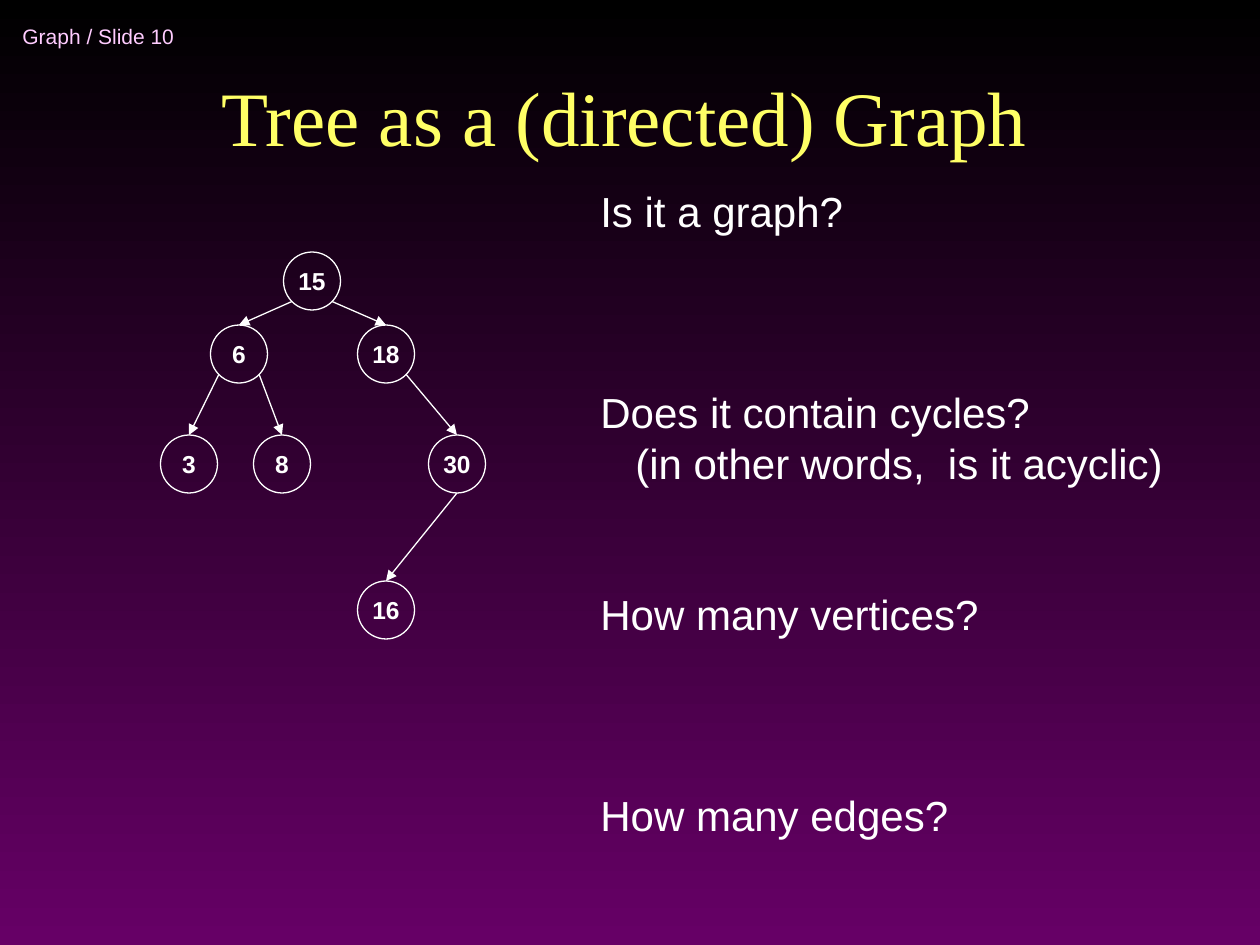
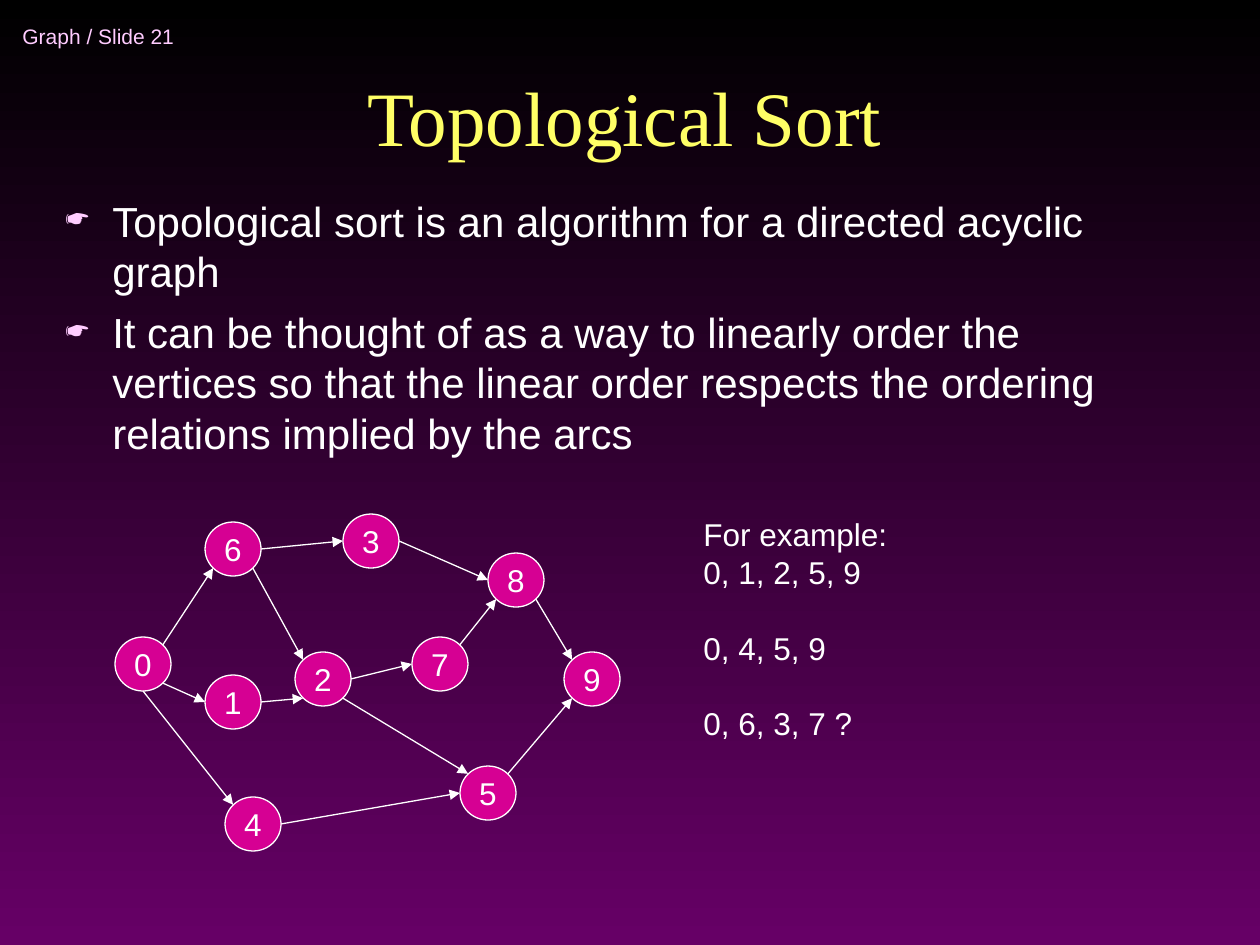
from lxml import etree
from pptx import Presentation
from pptx.dml.color import RGBColor
from pptx.enum.shapes import MSO_CONNECTOR, MSO_SHAPE
from pptx.enum.text import MSO_ANCHOR, PP_ALIGN
from pptx.oxml.ns import qn
from pptx.util import Emu, Pt

STRAIGHT, OVAL = MSO_CONNECTOR.STRAIGHT, MSO_SHAPE.OVAL
TOP, MIDDLE, BOTTOM = MSO_ANCHOR.TOP, MSO_ANCHOR.MIDDLE, MSO_ANCHOR.BOTTOM
LEFT, CENTER = PP_ALIGN.LEFT, PP_ALIGN.CENTER

PX_PER_INCH = 126
BODY_FONT, TITLE_FONT = "Arial", "Times New Roman"
WHITE, YELLOW, PINK, MAGENTA = "FFFFFF", "FFFF66", "FFCCFF", "D60093"
BLACK, PURPLE = "000000", "660066"
LINE_HEIGHT = 1.2

# Points on a node's outline, as shares of its half width and half height
DIAGONAL = 0.71
SITES = {
    "T": (0, -1), "B": (0, 1), "L": (-1, 0), "R": (1, 0),
    "TL": (-DIAGONAL, -DIAGONAL), "TR": (DIAGONAL, -DIAGONAL),
    "BL": (-DIAGONAL, DIAGONAL), "BR": (DIAGONAL, DIAGONAL),
}

TREE_NODES = {
    "15": (151, 29), "6": (78, 102), "18": (225, 102), "3": (28, 212),
    "8": (121, 212), "30": (296, 212), "16": (225, 358),
}
TREE_EDGES = [
    ("15", "BL", "6", "T"), ("15", "BR", "18", "T"), ("6", "BL", "3", "T"),
    ("6", "BR", "8", "T"), ("18", "BR", "30", "T"), ("30", "B", "16", "T"),
]
# Each question with the number of lines left open above it
QUESTIONS = [
    ("Is it a graph?", 0),
    ("Does it contain cycles?", 3),
    ("(in other words,  is it acyclic)", 0),
    ("How many vertices?", 2),
    ("How many edges?", 3),
]

SORT_POINTS = [
    "Topological sort is an algorithm for a directed acyclic graph",
    "It can be thought of as a way to linearly order the vertices so that "
    "the linear order respects the ordering relations implied by the arcs",
]
ARC_NODES = {
    "0": (28, 150), "1": (118, 188), "2": (208, 165), "3": (256, 27),
    "4": (138, 310), "5": (373, 279), "6": (118, 35), "7": (325, 150),
    "8": (401, 66), "9": (477, 165),
}
ARCS = [
    ("0", "B", "4", "TL"), ("0", "BR", "1", "L"), ("0", "TR", "6", "BL"),
    ("6", "R", "3", "L"), ("6", "BR", "2", "TL"), ("1", "R", "2", "BL"),
    ("4", "R", "5", "L"), ("2", "BR", "5", "TL"), ("5", "TR", "9", "BL"),
    ("2", "R", "7", "L"), ("3", "R", "8", "L"), ("8", "BR", "9", "TL"),
    ("7", "TR", "8", "BL"),
]
EXAMPLES = [
    ("For example:", 0), ("0, 1, 2, 5, 9", 0), ("0, 4, 5, 9", 1),
    ("0, 6, 3, 7 ?", 1),
]


def px(length):
    return Emu(round(length * 914400 / PX_PER_INCH))


def rgb(color):
    return RGBColor.from_string(color)


def style(paragraph, size, color=WHITE, font=BODY_FONT, bold=False, align=LEFT):
    paragraph.alignment = align
    for run in paragraph.runs:
        run.font.name = font
        run.font.size = Pt(size)
        run.font.bold = bold
        run.font.color.rgb = rgb(color)


def add_text(slide, box, lines, size, anchor=TOP, **look):
    """Place one paragraph per line in box and return the paragraphs."""
    frame = slide.shapes.add_textbox(*map(px, box)).text_frame
    frame.word_wrap = True
    frame.vertical_anchor = anchor
    frame.text = "\n".join(lines)
    for paragraph in frame.paragraphs:
        style(paragraph, size, **look)
    return frame.paragraphs


def add_spaced_lines(slide, box, lines, size):
    """Place (text, open lines above) pairs on an even line grid."""
    pitch = size * LINE_HEIGHT
    paragraphs = add_text(slide, box, [text for text, _ in lines], size)
    for paragraph, (_, open_lines) in zip(paragraphs, lines):
        paragraph.line_spacing = Pt(pitch)
        if open_lines:
            paragraph.space_before = Pt(open_lines * pitch)
    return paragraphs


def set_indent(paragraph, margin, first_line=0):
    properties = paragraph._p.get_or_add_pPr()
    properties.set("marL", str(px(margin)))
    properties.set("indent", str(px(first_line)))
    return properties


def add_bullets(slide, box, points, size):
    paragraphs = add_text(slide, box, points, size)
    for index, paragraph in enumerate(paragraphs):
        properties = set_indent(paragraph, 47, -47)
        bullet_color = etree.SubElement(properties, qn("a:buClr"))
        etree.SubElement(bullet_color, qn("a:srgbClr"), val=PINK)
        etree.SubElement(properties, qn("a:buSzPct"), val="75000")
        etree.SubElement(properties, qn("a:buChar"), char="☛")
        paragraph.line_spacing = Pt(size * LINE_HEIGHT)
        if index:
            paragraph.space_before = Pt(6)


def add_node(slide, label, center, node_size, fill, size, bold):
    (x, y), (width, height) = center, node_size
    node = slide.shapes.add_shape(
        OVAL, px(x - width / 2), px(y - height / 2), px(width), px(height))
    node.shadow.inherit = False
    if fill:
        node.fill.solid()
        node.fill.fore_color.rgb = rgb(fill)
    else:
        node.fill.background()
    node.line.color.rgb = rgb(WHITE)
    node.line.width = Pt(0.75)
    frame = node.text_frame
    frame.word_wrap = False
    frame.vertical_anchor = MIDDLE
    frame.text = label
    style(frame.paragraphs[0], size, bold=bold, align=CENTER)


def add_arrow(slide, start, end):
    arrow = slide.shapes.add_connector(STRAIGHT, *map(px, (*start, *end)))
    arrow.line.color.rgb = rgb(WHITE)
    arrow.line.width = Pt(0.75)
    etree.SubElement(arrow.line._get_or_add_ln(), qn("a:tailEnd"), type="triangle")
    etree.SubElement(arrow._element.spPr, qn("a:effectLst"))


def add_graph(slide, origin, nodes, edges, node_size, size, fill=None, bold=False):
    """Draw nodes by centre, relative to origin, and edges between their sites."""
    left, top = origin
    centers = {label: (left + x, top + y) for label, (x, y) in nodes.items()}

    def site_point(label, site):
        return [middle + share * length / 2 for middle, share, length
                in zip(centers[label], SITES[site], node_size)]

    for label, center in centers.items():
        add_node(slide, label, center, node_size, fill, size, bold)
    for source, source_site, target, target_site in edges:
        add_arrow(slide, site_point(source, source_site),
                  site_point(target, target_site))


def set_background(master):
    fill = master.background.fill
    fill.gradient()
    fill.gradient_angle = 270
    for stop, color in zip(fill.gradient_stops, (BLACK, PURPLE)):
        stop.color.rgb = rgb(color)


def add_titled_slide(prs, number, title):
    slide = prs.slides.add_slide(prs.slide_layouts[6])
    add_text(slide, (10, 10, 347, 53), [f"Graph / Slide {number}"], 12,
             anchor=MIDDLE, color=PINK)
    add_text(slide, (84, 32, 1081, 136), [title], 44, anchor=BOTTOM,
             color=YELLOW, font=TITLE_FONT, align=CENTER)
    return slide


def build_tree_slide(prs):
    slide = add_titled_slide(prs, 10, "Tree as a (directed) Graph")
    add_graph(slide, (161, 252), TREE_NODES, TREE_EDGES, (57, 58), 14, bold=True)
    questions = add_spaced_lines(slide, (588, 179, 703, 668), QUESTIONS, 24)
    set_indent(questions[2], 35)


def build_sort_slide(prs):
    slide = add_titled_slide(prs, 21, "Topological Sort")
    add_bullets(slide, (53, 189, 1081, 683), SORT_POINTS, 24)
    add_graph(slide, (115, 514), ARC_NODES, ARCS, (56, 54), 18, fill=MAGENTA)
    add_spaced_lines(slide, (691, 509, 209, 239), EXAMPLES, 18)


def main():
    prs = Presentation()
    prs.slide_width, prs.slide_height = px(1260), px(945)
    set_background(prs.slide_master)
    build_tree_slide(prs)
    build_sort_slide(prs)
    prs.save("out.pptx")


if __name__ == "__main__":
    main()
